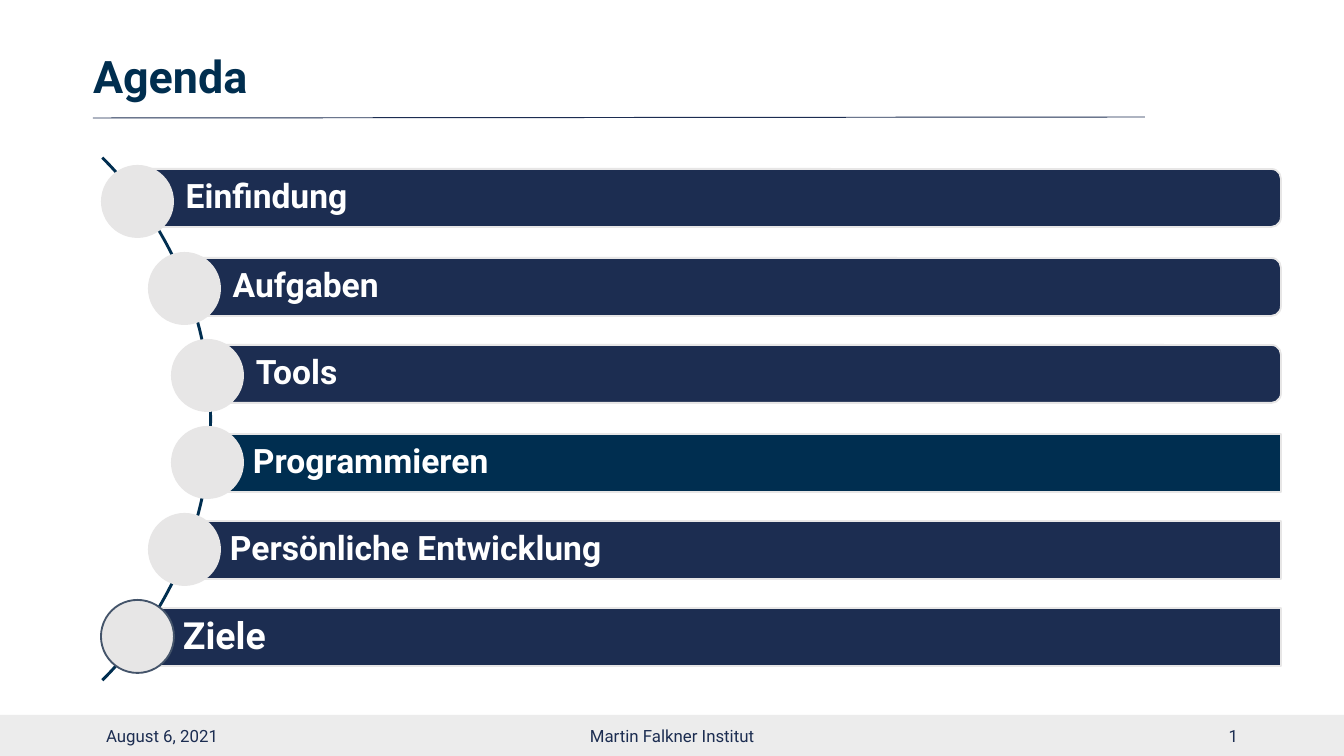
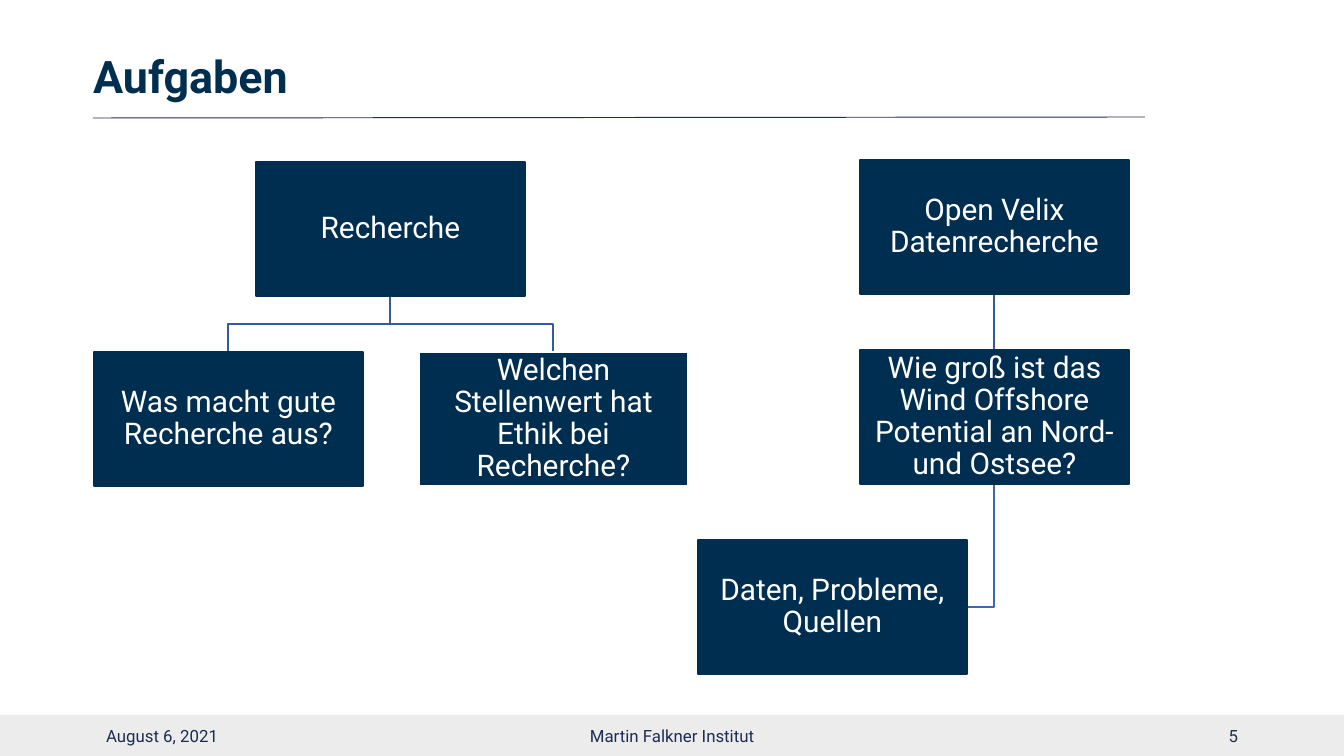
"""Builds a two-slide meeting deck: an agenda and a task overview."""
import lxml.etree
import pptx
import pptx.dml.color
import pptx.enum.shapes
import pptx.enum.text
import pptx.oxml.ns
import pptx.util

RGB = pptx.dml.color.RGBColor
SHAPE = pptx.enum.shapes.MSO_SHAPE
ALIGN = pptx.enum.text.PP_ALIGN
ANCHOR = pptx.enum.text.MSO_ANCHOR

NAVY = RGB(0x1C, 0x2D, 0x51)
PETROL = RGB(0x00, 0x2E, 0x50)
TITLE_BLUE = RGB(0x00, 0x2E, 0x4F)
BAND_GREY = RGB(0xEC, 0xEC, 0xEC)
DOT_GREY = RGB(0xE7, 0xE6, 0xE6)
SLATE = RGB(0x44, 0x54, 0x6A)
LINK_BLUE = RGB(0x36, 0x5B, 0x9D)
LINK_LIGHT = RGB(0x3E, 0x67, 0xB2)
WHITE = RGB(0xFF, 0xFF, 0xFF)

SCALE = 914400 / 134.4
WIDTH, HEIGHT = 1344, 756
FONT = "Roboto"
DATE = "August 6, 2021"
INSTITUTE = "Martin Falkner Institut"

TITLE = {"size": pptx.util.Pt(24), "bold": True}
FOOTER = {"size": pptx.util.Pt(9)}
AGENDA = {"size": pptx.util.Pt(18), "bold": True}
AGENDA_LAST = {"size": pptx.util.Pt(20), "bold": True}
TASK = {"size": pptx.util.Pt(16)}

TILE_WIDTH, TILE_HEIGHT, TILE_GAP = 269, 134, 56


def px(length):
    """Turns pixels into EMU."""
    return pptx.util.Emu(round(length * SCALE))


def write(shape, text, style, colour, align=ALIGN.LEFT, margins=(13, 7, 13, 7), spacing=1.0):
    """Puts one formatted paragraph into a shape; margins run left, top, right, bottom."""
    frame = shape.text_frame
    left, top, right, bottom = map(px, margins)
    layout = {"word_wrap": True, "vertical_anchor": ANCHOR.MIDDLE, "margin_left": left,
              "margin_top": top, "margin_right": right, "margin_bottom": bottom}
    for name, value in layout.items():
        setattr(frame, name, value)
    para = frame.paragraphs[0]
    para.text = text
    para.alignment = align
    para.line_spacing = spacing
    for span in para.runs:
        for name, value in {"name": FONT, **style}.items():
            setattr(span.font, name, value)
        span.font.color.rgb = colour


def add_label(page, box, text, style, colour, **options):
    """Adds a text box."""
    write(page.shapes.add_textbox(*map(px, box)), text, style, colour, **options)


def add_block(page, kind, box, fill, outline=None):
    """Adds a filled preset shape, outlined if a colour is given."""
    shape = page.shapes.add_shape(kind, *map(px, box))
    shape.shadow.inherit = False
    shape.fill.solid()
    shape.fill.fore_color.rgb = fill
    set_outline(shape, outline)
    return shape


def set_outline(shape, colour, weight=1):
    """Sets or removes the outline of a shape."""
    if colour is None:
        shape.line.fill.background()
    else:
        shape.line.color.rgb = colour
        shape.line.width = pptx.util.Pt(weight)


def add_line(page, start, end, colour, weight=1):
    """Adds a straight connector without shadow."""
    line = page.shapes.add_connector(
        pptx.enum.shapes.MSO_CONNECTOR.STRAIGHT, *map(px, start + end))
    set_outline(line, colour, weight)
    properties = line.element.find(pptx.oxml.ns.qn("p:spPr"))
    lxml.etree.SubElement(properties, pptx.oxml.ns.qn("a:effectLst"))


def add_elbow(page, points, colour):
    """Adds an open line through the given points."""
    builder = page.shapes.build_freeform(*points[0], scale=SCALE)
    builder.add_line_segments(points[1:], close=False)
    elbow = builder.convert_to_shape()
    elbow.shadow.inherit = False
    elbow.fill.background()
    set_outline(elbow, colour)


def add_page(deck, title, number):
    """Adds a slide with its title, rule and footer band."""
    page = deck.slides.add_slide(deck.slide_layouts[6])
    add_block(page, SHAPE.RECTANGLE, (0, 715, WIDTH, HEIGHT - 715), BAND_GREY)
    add_line(page, (93, 118), (1145, 117), NAVY, 0.5)
    add_label(page, (93, 40, 1054, 77), title, TITLE, TITLE_BLUE,
              margins=(0, 7, 13, 7), spacing=0.9)
    for left, width, text, align in ((93, 302, DATE, ALIGN.LEFT),
                                     (445, 454, INSTITUTE, ALIGN.CENTER),
                                     (949, 302, number, ALIGN.RIGHT)):
        add_label(page, (left, 715, width, 41), text, FOOTER, NAVY, align=align)
    return page


def draw_agenda(page, box, items):
    """Draws bars with dots strung along an arc in the box."""
    left, top, width, height = box
    dot, bar, arc, pitch = 73, 58, 742, 87
    bow = add_block(page, SHAPE.BLOCK_ARC,
                    (left + 111 - arc, top + (height - arc) // 2, arc, arc), PETROL)
    for index, value in enumerate((189, 27, 0.0039)):
        bow.adjustments[index] = value
    for index, (text, indent, drop, kind, fill, style, ring) in enumerate(items):
        dot_top = top + 8 + index * pitch
        strip = add_block(page, kind, (left + indent, dot_top + drop, width - indent, bar),
                          fill, DOT_GREY)
        write(strip, text, style, WHITE, margins=(46, 7, 7, 7), spacing=0.9)
        add_block(page, SHAPE.OVAL, (left + indent - dot // 2, dot_top, dot, dot), DOT_GREY, ring)


def add_tile(page, left, top, text, outline=PETROL):
    """Adds one task tile."""
    tile = add_block(page, SHAPE.RECTANGLE, (left, top, TILE_WIDTH, TILE_HEIGHT), PETROL, outline)
    write(tile, text, TASK, WHITE, ALIGN.CENTER, (1, 1, 1, 1), 0.9)


def draw_branches(page, corner, root, children):
    """Draws a root tile centred over a row of linked children."""
    left, top = corner
    step = TILE_WIDTH + TILE_GAP
    root_left = left + step * (len(children) - 1) // 2
    root_middle = root_left + TILE_WIDTH // 2
    root_bottom = top + TILE_HEIGHT
    child_top = root_bottom + TILE_GAP
    bend = root_bottom + TILE_GAP // 2
    for index in range(len(children)):
        middle = left + index * step + TILE_WIDTH // 2
        add_elbow(page, [(root_middle, root_bottom), (root_middle, bend),
                         (middle, bend), (middle, child_top)], LINK_BLUE)
    add_tile(page, root_left, top, root)
    for index, (text, outline) in enumerate(children):
        add_tile(page, left + index * step, child_top, text, outline)


def draw_chain(page, corner, root, child, leaf):
    """Draws two stacked tiles with a leaf hanging to the lower left."""
    left, top = corner
    step = TILE_HEIGHT + TILE_GAP
    root_left = left + (TILE_WIDTH + TILE_GAP) // 2
    middle = root_left + TILE_WIDTH // 2
    leaf_middle = top + 2 * step + TILE_HEIGHT // 2
    add_elbow(page, [(middle, top + step + TILE_HEIGHT), (middle, leaf_middle),
                     (left + TILE_WIDTH, leaf_middle)], LINK_LIGHT)
    add_line(page, (middle, top + TILE_HEIGHT), (middle, top + step), LINK_BLUE)
    for row, (tile_left, text) in enumerate(((root_left, root), (root_left, child), (left, leaf))):
        add_tile(page, tile_left, top + row * step, text)


def main():
    """Builds and saves the deck."""
    deck = pptx.Presentation()
    deck.slide_width, deck.slide_height = px(WIDTH), px(HEIGHT)

    rounded, square = SHAPE.ROUNDED_RECTANGLE, SHAPE.RECTANGLE
    draw_agenda(add_page(deck, "Agenda", "1"), (101, 157, 1180, 524), (
        ("Einfindung", 36, 4, rounded, NAVY, AGENDA, None),
        ("Aufgaben", 83, 6, rounded, NAVY, AGENDA, None),
        ("Tools", 106, 6, rounded, NAVY, AGENDA, None),
        ("Programmieren", 106, 8, square, PETROL, AGENDA, None),
        ("Persönliche Entwicklung", 83, 8, square, NAVY, AGENDA, None),
        ("Ziele", 36, 8, square, NAVY, AGENDA_LAST, SLATE)))

    tasks = add_page(deck, "Aufgaben", "5")
    draw_branches(tasks, (94, 162), "Recherche", (
        ("Was macht gute Recherche aus?", PETROL),
        ("Welchen Stellenwert hat Ethik bei Recherche?", WHITE)))
    draw_chain(tasks, (698, 160), "Open Velix\vDatenrecherche",
               "Wie groß ist das Wind Offshore Potential an Nord- und Ostsee?",
               "Daten, Probleme, Quellen")
    deck.save("out.pptx")


main()
